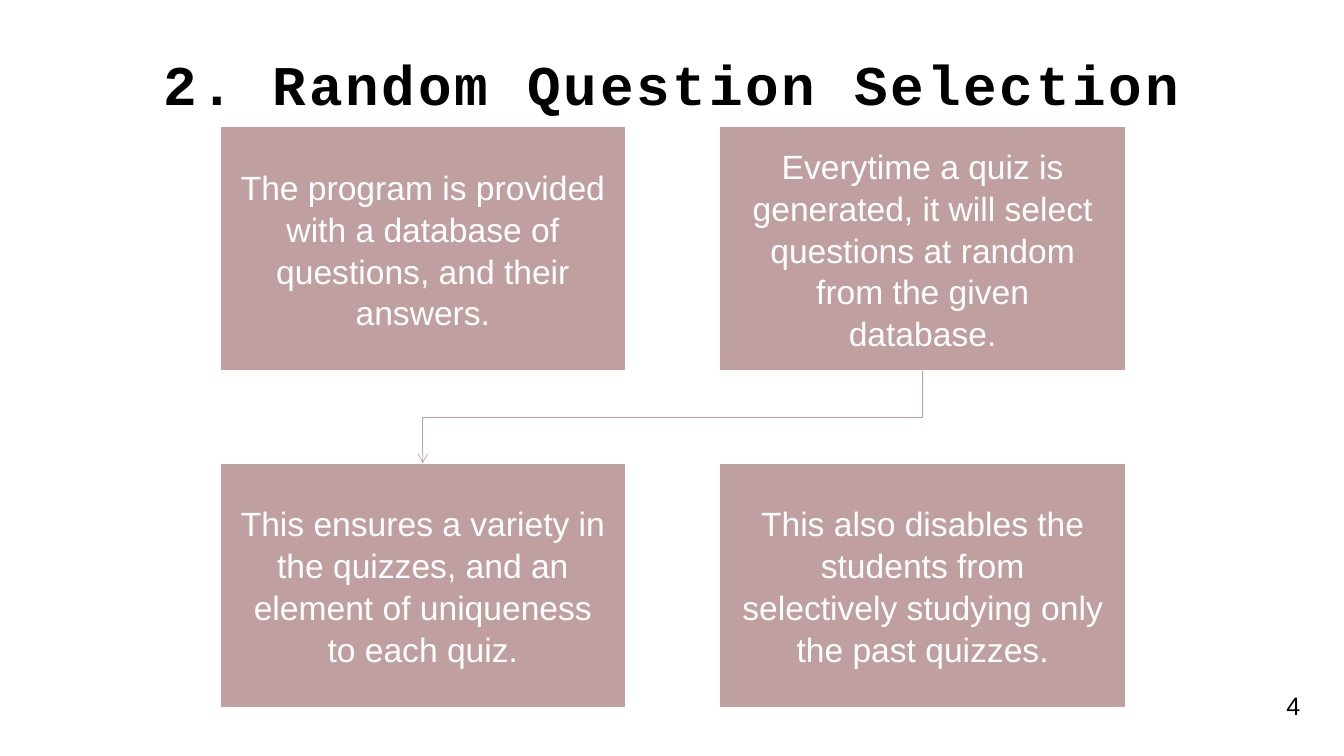
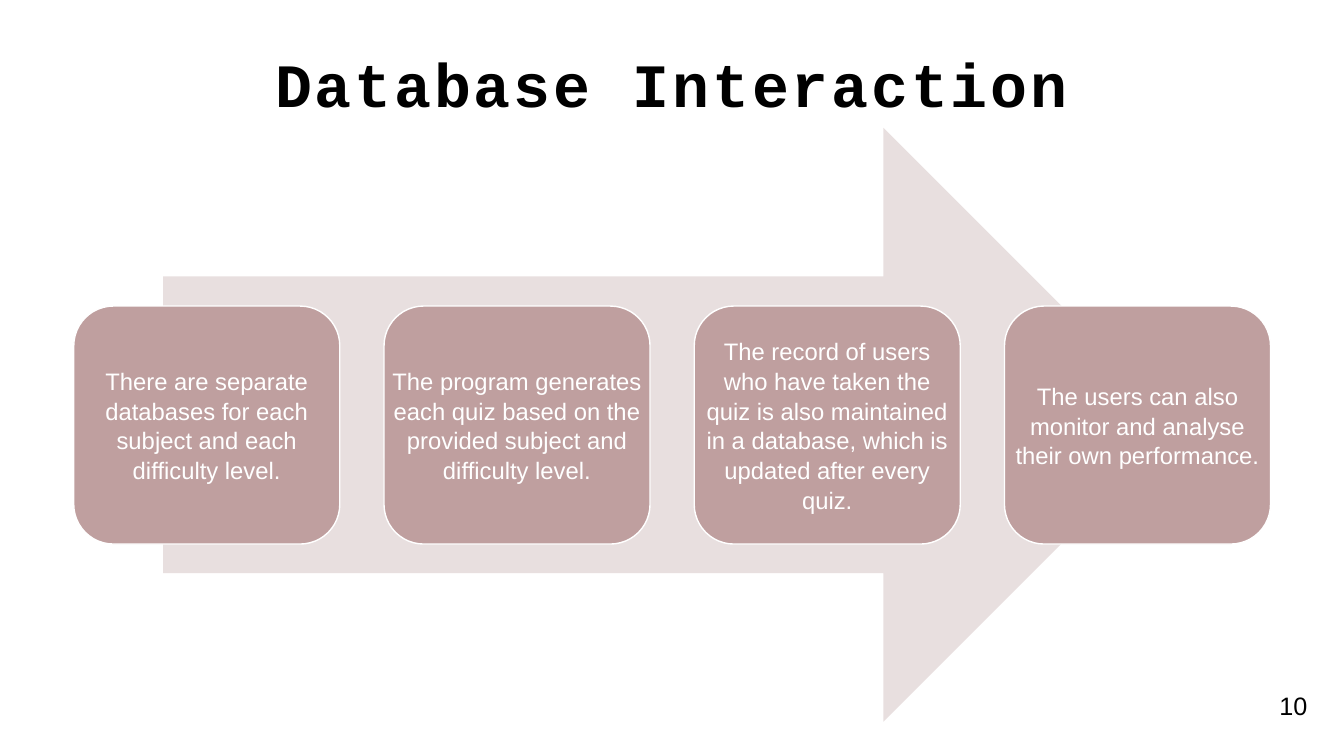
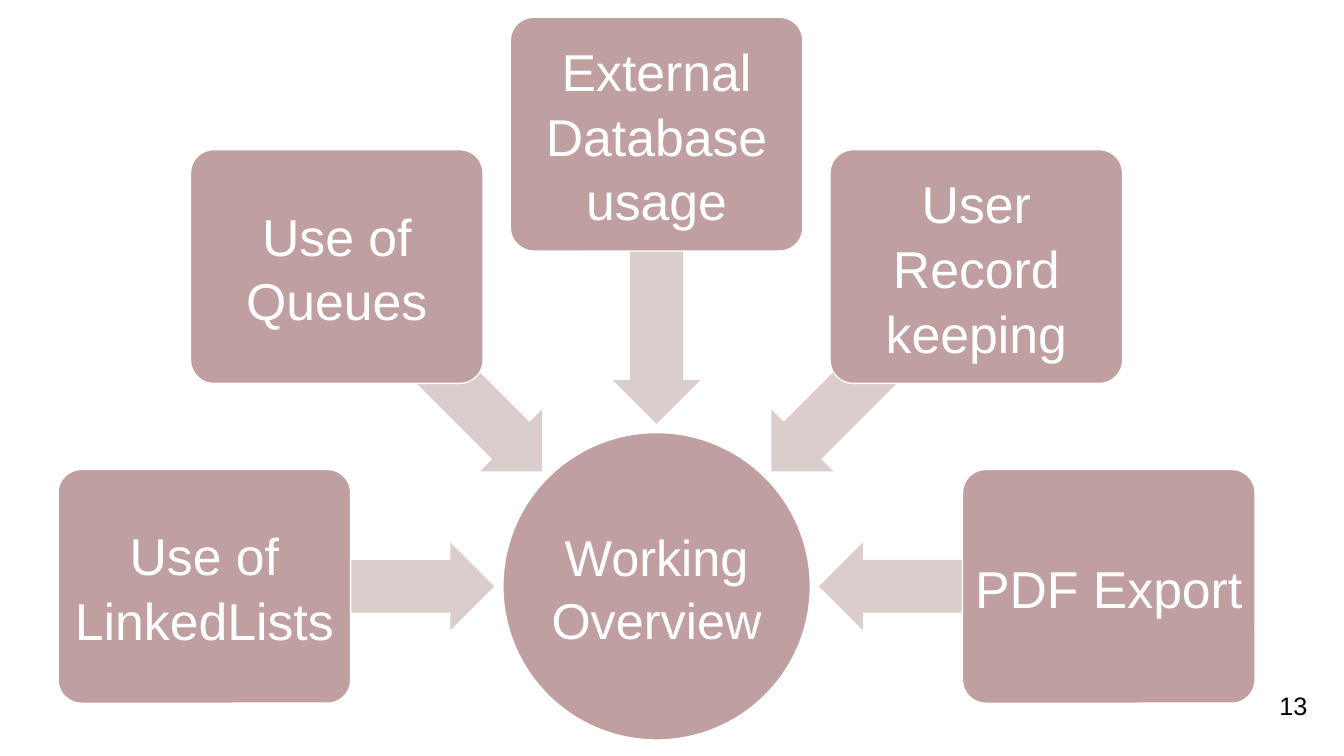
from math import cos, radians, sin

from lxml import etree
from pptx import Presentation
from pptx.dml.color import RGBColor
from pptx.enum.shapes import MSO_CONNECTOR, MSO_SHAPE
from pptx.enum.text import MSO_ANCHOR, PP_ALIGN
from pptx.oxml.ns import qn
from pptx.util import Pt

RECT, ROUND = MSO_SHAPE.RECTANGLE, MSO_SHAPE.ROUNDED_RECTANGLE
OVAL = MSO_SHAPE.OVAL
RIGHT, LEFT = MSO_SHAPE.RIGHT_ARROW, MSO_SHAPE.LEFT_ARROW
ELBOW = MSO_CONNECTOR.ELBOW
CENTER, MIDDLE = PP_ALIGN.CENTER, MSO_ANCHOR.MIDDLE

COLORS = {
    "card": "BF9F9F",
    "band": "E8DFDF",
    "arrow": "DCCDCD",
    "white": "FFFFFF",
    "black": "000000",
}


def paint(name):
    return RGBColor.from_string(COLORS[name])


def write(frame, text, size=24, color="white", font="Arial", bold=False,
          track=0, lead=1.04, inset=0, wrap=True):
    """Fill a text frame with one centred paragraph; track is in points."""
    frame.word_wrap = wrap
    frame.vertical_anchor = MIDDLE
    frame.margin_left = frame.margin_right = Pt(inset)
    frame.margin_top = frame.margin_bottom = Pt(inset)
    para = frame.paragraphs[0]
    para.alignment = CENTER
    para.line_spacing = lead
    run = para.add_run()
    run.text = text
    run.font.size = Pt(size)
    run.font.name = font
    run.font.bold = bold
    run.font.color.rgb = paint(color)
    if track:
        run.font._element.set("spc", str(track * 100))


class Deck:
    def __init__(self):
        self.file = Presentation()
        self.file.slide_width, self.file.slide_height = Pt(960), Pt(540)
        self.slide = None

    def page(self, number):
        self.slide = self.file.slides.add_slide(self.file.slide_layouts[6])
        self.label(str(number), 906.5, 489.6, 34.6, 28.8, size=18,
                   color="black", lead=1, wrap=False)

    def title(self, text, size):
        self.label(text, 52.5, 42, 855, 34.5, size=size, color="black",
                   font="Courier New", bold=True, track=2, lead=1)

    def label(self, text, x, y, w, h, **style):
        box = self.slide.shapes.add_textbox(Pt(x), Pt(y), Pt(w), Pt(h))
        write(box.text_frame, text, **style)

    def shape(self, kind, x, y, w, h, fill="card", edge=None, adjust=(), turn=0):
        item = self.slide.shapes.add_shape(kind, Pt(x), Pt(y), Pt(w), Pt(h))
        item.shadow.inherit = False
        item.fill.solid()
        item.fill.fore_color.rgb = paint(fill)
        if edge:
            item.line.color.rgb = paint(edge)
            item.line.width = Pt(1)
        else:
            item.line.fill.background()
        for i, value in enumerate(adjust):
            item.adjustments[i] = value
        item.rotation = turn
        return item

    def card(self, text, kind, x, y, w, h, adjust=(), **style):
        item = self.shape(kind, x, y, w, h, edge="white", adjust=adjust)
        write(item.text_frame, text, **style)

    def elbow(self, x1, y1, x2, y2):
        """Arrow that runs down, left and down again, as a quarter-turned elbow."""
        cx, cy = (x1 + x2) / 2, (y1 + y2) / 2
        dx, dy = (y2 - y1) / 2, (x1 - x2) / 2
        line = self.slide.shapes.add_connector(
            ELBOW, Pt(cx - dx), Pt(cy - dy), Pt(cx + dx), Pt(cy + dy))
        line.line.color.rgb = paint("card")
        line.line.width = Pt(0.5)
        props = line._element.spPr
        props.find(qn("a:xfrm")).set("rot", str(90 * 60000))
        etree.SubElement(props.find(qn("a:ln")), qn("a:tailEnd"), type="arrow")
        etree.SubElement(props, qn("a:effectLst"))


def random_page(deck):
    deck.page(4)
    deck.title("2. Random Question Selection", 40)
    left, top, w, h = 157, 90.5, 290, 174.5
    step, drop = 357, 240.5
    texts = [
        "The program is provided with a database of questions, and their answers.",
        "Everytime a quiz is generated, it will select questions at random "
        "from the given database.",
        "This ensures a variety in the quizzes, and an element of uniqueness "
        "to each quiz.",
        "This also disables the students from selectively studying only the "
        "past quizzes.",
    ]
    for i, text in enumerate(texts):
        row, col = divmod(i, 2)
        deck.card(text, RECT, left + col * step, top + row * drop, w, h, inset=13.7)
    mid = left + w / 2
    deck.elbow(mid + step, top + h, mid, top + drop)


def data_page(deck):
    deck.page(10)
    deck.title("Database Interaction", 44)
    deck.shape(RIGHT, 116.6, 91.4, 726.5, 424, fill="band")
    texts = [
        "There are separate databases for each subject and each difficulty level.",
        "The program generates each quiz based on the provided subject and "
        "difficulty level.",
        "The record of users who have taken the quiz is also maintained in a "
        "database, which is updated after every quiz.",
        "The users can also monitor and analyse their own performance.",
    ]
    for i, text in enumerate(texts):
        area = 52.7 + i * 221.6, 218.6, 190, 170
        deck.shape(ROUND, *area, edge="white")
        # A rounded shape insets its own text too far for these lines.
        deck.label(text, *area, size=17, inset=5)


def work_page(deck):
    deck.page(13)
    cx, cy, size = 469, 418.8, 219.6
    deck.card("Working Overview", OVAL, cx - size / 2, cy - size / 2, size, size,
              size=36, inset=1)
    w, h = 209, 167
    long, wide = 201, 62.6
    texts = ["Use of LinkedLists", "Use of Queues", "External Database usage",
             "User Record keeping", "PDF Export"]
    for i, text in enumerate(texts):
        turn = 180 + 45 * i
        dx, dy = cos(radians(turn)), sin(radians(turn))
        deck.shape(LEFT, cx + 216.5 * dx - long / 2, cy + 216.5 * dy - wide / 2,
                   long, wide, fill="arrow", adjust=(0.6, 0.5), turn=turn % 360)
        deck.card(text, ROUND, cx + 323 * dx - w / 2, cy + 323 * dy - h / 2, w, h,
                  adjust=(0.1,), size=37, inset=1)


def main():
    deck = Deck()
    random_page(deck)
    data_page(deck)
    work_page(deck)
    deck.file.save("out.pptx")


if __name__ == "__main__":
    main()
